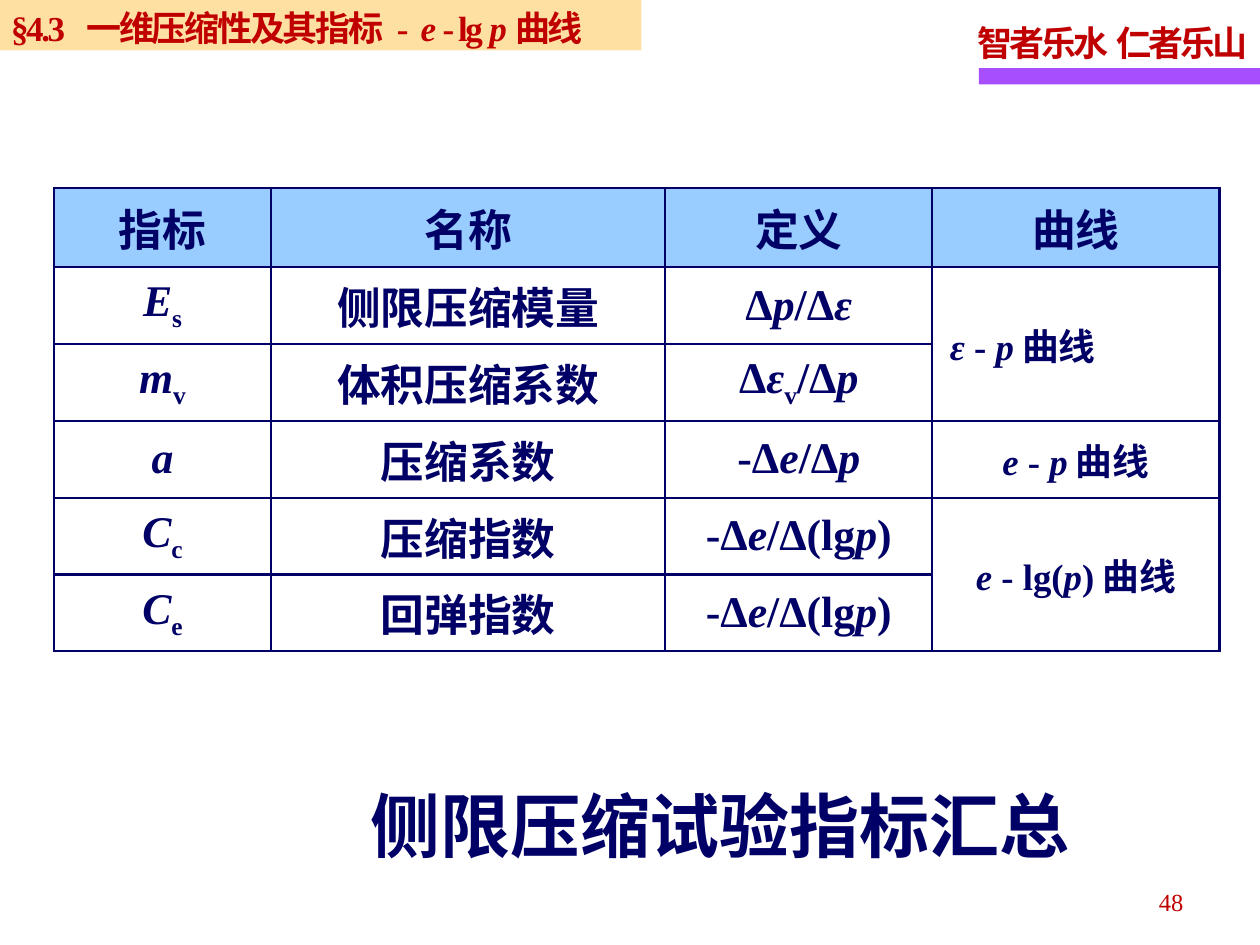
from dataclasses import dataclass

from lxml.etree import SubElement
from pptx import Presentation
from pptx.dml.color import RGBColor
from pptx.enum.shapes import MSO_SHAPE
from pptx.enum.text import MSO_ANCHOR, PP_ALIGN
from pptx.oxml.ns import qn
from pptx.util import Inches, Pt


@dataclass(frozen=True)
class Theme:
    font: str = "Times New Roman"
    navy: str = "000066"
    red: str = "C00000"
    purple: str = "A74FFF"
    sand: str = "FFCC66"
    sky: str = "99CCFF"
    white: str = "FFFFFF"
    title: int = 40
    table: int = 25
    curve: int = 21
    heading: int = 20
    page_number: int = 14


theme = Theme()


def add_runs(paragraph, markup, size, color, bold=True, spacing=0):
    """Write markup in which *...* is italic and ~...~ is subscript."""
    for i, part in enumerate(markup.split("*")):
        for j, text in enumerate(part.split("~")):
            if not text:
                continue
            run = paragraph.add_run()
            run.text = text
            run.font.name = theme.font
            run.font.size = Pt(size)
            run.font.bold = bold
            run.font.italic = i % 2 == 1
            run.font.color.rgb = RGBColor.from_string(color)
            properties = run.font._element
            if j % 2:
                properties.set("baseline", "-25000")
            if spacing:
                properties.set("spc", str(round(spacing * 100)))


def add_tab_stops(paragraph, *positions):
    tab_list = SubElement(paragraph._p.get_or_add_pPr(), qn("a:tabLst"))
    for position in positions:
        SubElement(tab_list, qn("a:tab"), pos=str(Inches(position)), algn="l")


presentation = Presentation()
presentation.slide_width = Inches(10)
presentation.slide_height = Inches(7.5)
slide = presentation.slides.add_slide(presentation.slide_layouts[6])

# Motto with its underline
bar = slide.shapes.add_shape(
    MSO_SHAPE.RECTANGLE, Inches(7.77), Inches(0.54), Inches(2.23), Inches(0.13))
bar.shadow.inherit = False
bar.fill.solid()
bar.fill.fore_color.rgb = RGBColor.from_string(theme.purple)
bar.line.fill.background()

motto = slide.shapes.add_textbox(Inches(7.66), Inches(0.07), Inches(2.36), Inches(0.49))
motto.text_frame.word_wrap = True
paragraph = motto.text_frame.paragraphs[0]
paragraph.line_spacing = 1.15
add_tab_stops(paragraph, 1.1)
add_runs(paragraph, "智者乐水\t仁者乐山", theme.heading, theme.red, spacing=-1.7)

# Table of indices
column_widths = [1.72, 3.13, 2.12, 2.28]
row_heights = [0.63] + [0.61] * 5
rows = [
    ["指标", "名称", "定义", "曲线"],
    ["*E*~s~", "侧限压缩模量", "Δ*p*/Δ*ε*", "*ε *- *p*曲线"],
    ["*m*~v~", "体积压缩系数", "Δ*ε*~v~/Δ*p*", ""],
    ["*a*", "压缩系数", "-Δ*e*/Δ*p*", "*e *- *p*曲线"],
    ["*C*~c~", "压缩指数", "-Δ*e*/Δ(lg*p*)", "*e *- lg(*p*)曲线"],
    ["*C*~e~", "回弹指数", "-Δ*e*/Δ(lg*p*)", ""],
]
table = slide.shapes.add_table(
    len(rows), len(column_widths), Inches(0.43), Inches(1.49),
    Inches(sum(column_widths)), Inches(sum(row_heights))).table
for column, width in zip(table.columns, column_widths):
    column.width = Inches(width)
for row, height in zip(table.rows, row_heights):
    row.height = Inches(height)
for first_row in (1, 4):
    table.cell(first_row, 3).merge(table.cell(first_row + 1, 3))

for row_index, row in enumerate(rows):
    for column_index, markup in enumerate(row):
        cell = table.cell(row_index, column_index)
        cell.margin_left = cell.margin_right = cell.margin_top = cell.margin_bottom = 0
        cell.vertical_anchor = MSO_ANCHOR.MIDDLE
        properties = cell._tc.get_or_add_tcPr()
        for side in ("a:lnL", "a:lnR", "a:lnT", "a:lnB"):
            border = SubElement(properties, qn(side), w=str(Pt(1.5)))
            border_fill = SubElement(border, qn("a:solidFill"))
            SubElement(border_fill, qn("a:srgbClr"), val=theme.navy)
        cell.fill.solid()
        cell.fill.fore_color.rgb = RGBColor.from_string(
            theme.sky if row_index == 0 else theme.white)
        paragraph = cell.text_frame.paragraphs[0]
        paragraph.alignment = PP_ALIGN.CENTER
        is_curve = row_index > 0 and column_index == 3
        add_runs(paragraph, markup, theme.curve if is_curve else theme.table, theme.navy)

strain_curve = table.cell(1, 3)
strain_curve.margin_left = Inches(0.14)
strain_curve.text_frame.paragraphs[0].alignment = PP_ALIGN.LEFT

# Title and page number
title = slide.shapes.add_textbox(Inches(2.84), Inches(6.16), Inches(5.89), Inches(0.77))
title.text_frame.word_wrap = True
add_runs(title.text_frame.paragraphs[0], "侧限压缩试验指标汇总", theme.title, theme.navy)

page_number = slide.shapes.add_textbox(
    Inches(7.16), Inches(6.96), Inches(2.33), Inches(0.4))
page_number.text_frame.word_wrap = True
paragraph = page_number.text_frame.paragraphs[0]
paragraph.alignment = PP_ALIGN.RIGHT
paragraph.line_spacing = 1.15
add_runs(paragraph, "48", theme.page_number, theme.red, bold=False)

# Section heading on a translucent band
heading = slide.shapes.add_shape(
    MSO_SHAPE.RECTANGLE, Inches(-0.01), Inches(0), Inches(5.1), Inches(0.4))
heading.shadow.inherit = False
heading.fill.solid()
heading.fill.fore_color.rgb = RGBColor.from_string(theme.sand)
heading_color = heading._element.spPr.find(qn("a:solidFill")).find(qn("a:srgbClr"))
SubElement(heading_color, qn("a:alpha"), val="60000")
heading.line.fill.background()
heading.text_frame.word_wrap = True
heading.text_frame.vertical_anchor = MSO_ANCHOR.TOP
paragraph = heading.text_frame.paragraphs[0]
paragraph.alignment = PP_ALIGN.LEFT
add_tab_stops(paragraph, 0.6, 3.25)
add_runs(paragraph, "§4.3\t一维压缩性及其指标 -\t*e *- lg *p*曲线",
         theme.heading, theme.red, spacing=-1.4)

presentation.save("out.pptx")
